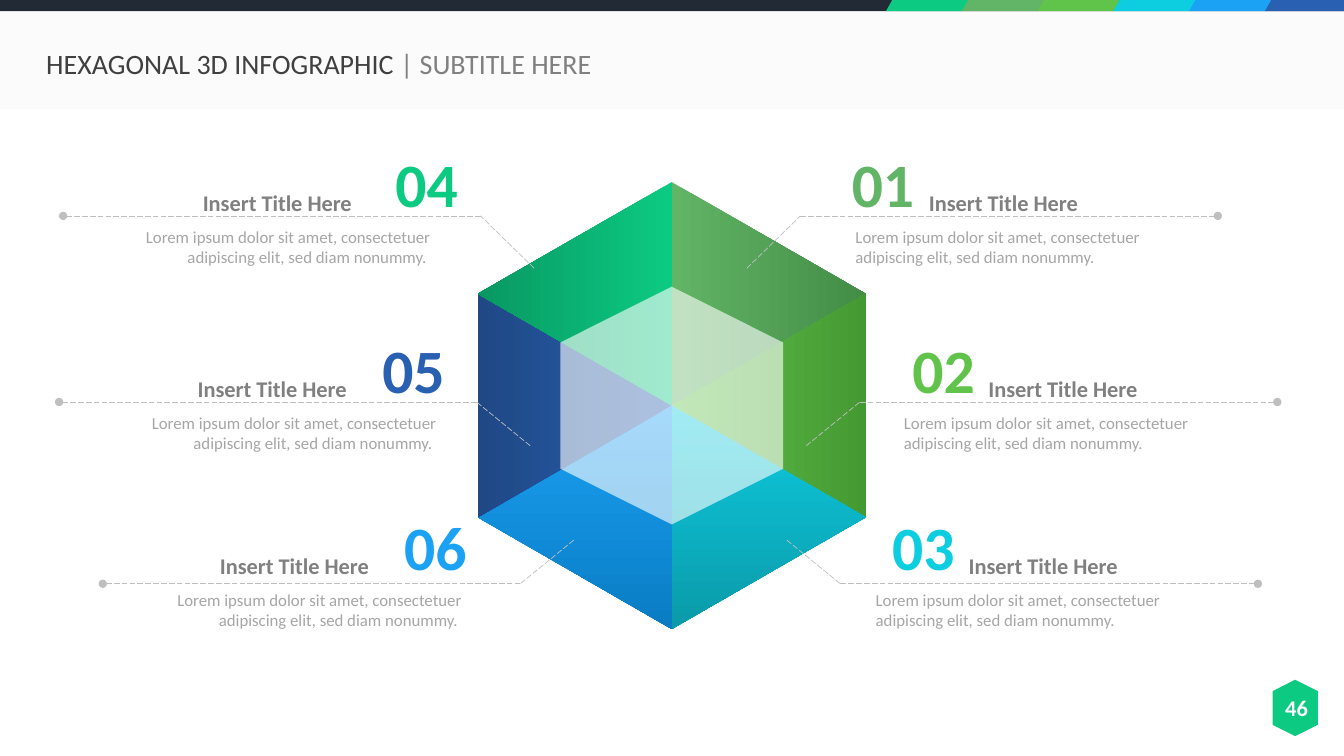
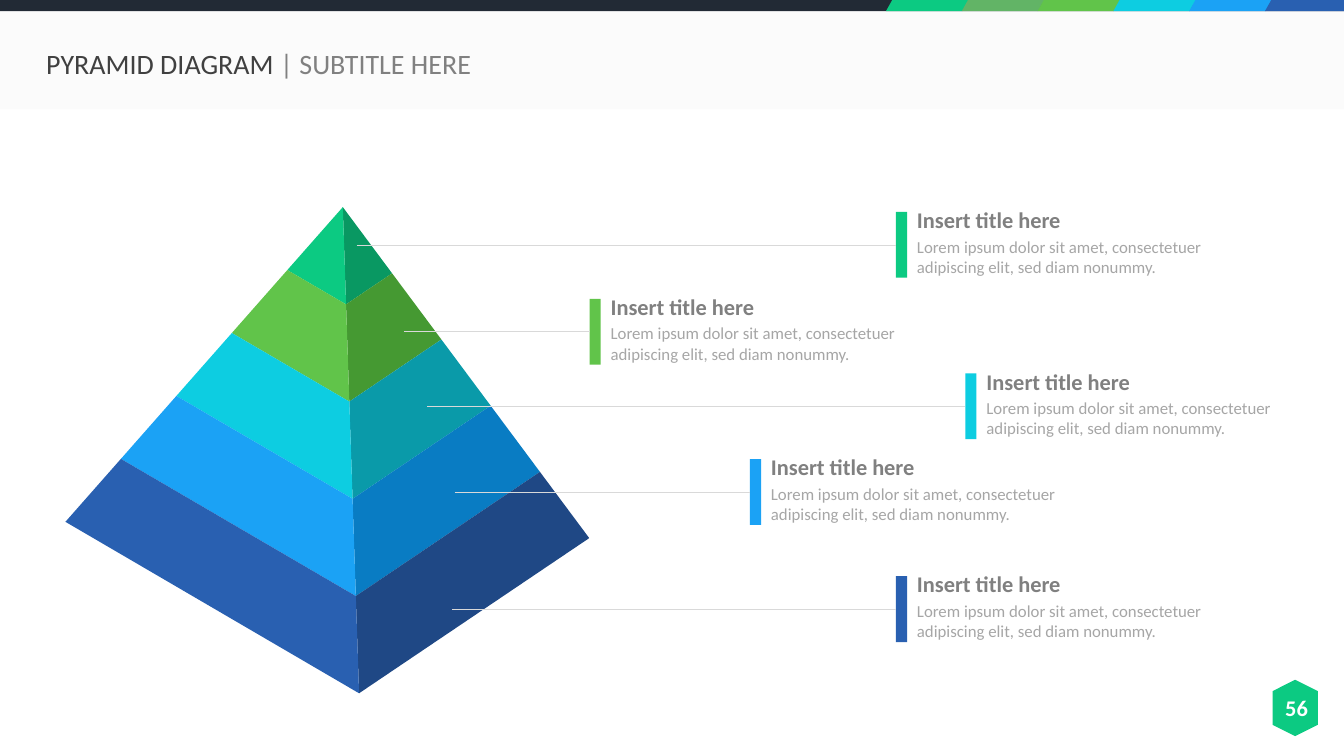
from dataclasses import dataclass

from lxml import etree
from pptx import Presentation
from pptx import util as u
from pptx.dml.color import RGBColor
from pptx.enum import dml, shapes, text
from pptx.oxml.ns import qn

LEFT, MID, RIGHT = text.PP_ALIGN.LEFT, text.PP_ALIGN.CENTER, text.PP_ALIGN.RIGHT
KIND = shapes.MSO_SHAPE
COPY = "Lorem ipsum dolor sit amet, consectetuer adipiscing elit, sed diam nonummy."


@dataclass(frozen=True)
class Type:
    size: int
    tint: str
    bold: bool = False


@dataclass(frozen=True)
class Hue:
    light: str
    dark: str


class Theme:
    font = "Calibri"
    wide, high = 33.87, 19.05
    green = Hue("0CCA82", "099862")
    moss = Hue("62B466", "438D47")
    lime = Hue("61C44A", "459932")
    cyan = Hue("0DCDE1", "0A9AA9")
    sky = Hue("1BA2F5", "097CC3")
    blue = Hue("2960B1", "1F4885")
    night, pale, white = "222A35", "F2F2F2", "FFFFFF"
    dash, rule = "BFBFBF", "D9D9D9"
    title = Type(20, "404040")
    sub = Type(20, "808080")
    head = Type(16, "808080", True)
    body = Type(12, "A6A6A6")
    page = Type(16, white, True)

    @staticmethod
    def digit(hue):
        return Type(44, hue.light, True)


def cm(*sizes):
    return [u.Cm(size) for size in sizes]


def style(run, kind):
    font = run.font
    font.name, font.size, font.bold = Theme.font, u.Pt(kind.size), kind.bold
    font.color.rgb = RGBColor.from_string(kind.tint)


def write(slide, words, box, kind, align=LEFT):
    frame = slide.shapes.add_textbox(*cm(*box)).text_frame
    frame.word_wrap = True
    frame.text = words
    para = frame.paragraphs[0]
    para.alignment = align
    style(para.runs[0], kind)


def paint(shape, tint, alpha=100):
    """Give a flat fill, with alpha as percent of opacity."""
    shape.shadow.inherit = False
    shape.line.fill.background()
    shape.fill.solid()
    shape.fill.fore_color.rgb = RGBColor.from_string(tint)
    if alpha < 100:
        node = shape.element.spPr.find(".//" + qn("a:srgbClr"))
        etree.SubElement(node, qn("a:alpha"), val=str(alpha * 1000))
    return shape


def blend(shape, hue, angle):
    """Fade from light to dark, with the angle counted anticlockwise."""
    shape.fill.gradient()
    shape.fill.gradient_angle = angle
    for stop, tint in zip(shape.fill.gradient_stops, (hue.light, hue.dark)):
        stop.color.rgb = RGBColor.from_string(tint)


def block(slide, kind, box, tint, alpha=100):
    return paint(slide.shapes.add_shape(kind, *cm(*box)), tint, alpha)


def facet(slide, points, tint):
    first, *rest = [cm(*point) for point in points]
    pen = slide.shapes.build_freeform(*first, scale=1.0)
    pen.add_line_segments(rest, close=True)
    return paint(pen.convert_to_shape(), tint)


def link(slide, start, end, tint, dashed=False, dot=False):
    line = slide.shapes.add_connector(
        shapes.MSO_CONNECTOR.STRAIGHT, *cm(*start, *end))
    line.line.width = u.Pt(0.5)
    line.line.color.rgb = RGBColor.from_string(tint)
    if dashed:
        line.line.dash_style = dml.MSO_LINE.LONG_DASH
    props = line.element.spPr
    if dot:
        etree.SubElement(props.find(qn("a:ln")), qn("a:tailEnd"), type="oval")
    etree.SubElement(props, qn("a:effectLst"))
    return line


def frame(deck, layout):
    """Draw bands, stripes and page badge, and move them to the layout."""
    holders = list(layout.placeholders)
    title = holders[0]
    title.left, title.top, title.width, title.height = cm(0.91, 0.94, 18.85, 1.4)
    for spare in holders[1:]:
        spare.element.getparent().remove(spare.element)

    slide = deck.slides[0]
    wide, thin, slant = Theme.wide, 0.28, 0.16
    parts = [
        block(slide, KIND.RECTANGLE, (0, thin, wide, 2.47), Theme.pale, 29),
        block(slide, KIND.RECTANGLE, (0, 0, wide, thin), Theme.night),
    ]
    hues = (Theme.green, Theme.moss, Theme.lime, Theme.cyan, Theme.sky)
    left, step = 22.33, 1.91
    for i, hue in enumerate(hues):
        stripe = block(slide, KIND.PARALLELOGRAM,
                       (left + i * step, 0, 2.08, thin), hue.light)
        stripe.adjustments[0] = 0.56
        parts.append(stripe)
    last = left + len(hues) * step
    parts.append(facet(slide, [(last + slant, 0), (wide, 0), (wide, thin),
                               (last, thin)], Theme.blue.light))
    badge = block(slide, KIND.HEXAGON, (31.93, 17.27, 1.42, 1.14),
                  Theme.green.light)
    badge.rotation = 90
    for part in parts + [badge]:
        layout.shapes.element.append(part.element)


def head(slide, name, page):
    area = slide.shapes.title.text_frame
    area.auto_size = text.MSO_AUTO_SIZE.NONE
    area.vertical_anchor = text.MSO_ANCHOR.MIDDLE
    para = area.paragraphs[0]
    para.alignment, para.line_spacing = LEFT, 0.9
    for words, kind in ((name + " ", Theme.title),
                        ("| SUBTITLE HERE", Theme.sub)):
        run = para.add_run()
        run.text = words
        style(run, kind)
    write(slide, page, (31.9, 17.37, 1.55, 0.94), Theme.page, MID)


def gem(slide):
    """Draw six shaded slices under a clear inner hexagon."""
    x, y, side, tall = 16.93, 10.22, 4.89, 5.63
    half = tall / 2
    rim = [(x, y - tall), (x + side, y - half), (x + side, y + half),
           (x, y + tall), (x - side, y + half), (x - side, y - half)]
    slices = ((Theme.moss, 0), (Theme.lime, 0), (Theme.cyan, 270),
              (Theme.sky, 270), (Theme.blue, 180), (Theme.green, 180))
    for i, (hue, angle) in enumerate(slices):
        piece = facet(slide, [rim[i], rim[(i + 1) % 6], (x, y)], hue.light)
        blend(piece, hue, angle)
    wide, high = 5.99, 5.61
    core = block(slide, KIND.HEXAGON, (x - wide / 2, y - high / 2, wide, high),
                 Theme.white, 61)
    core.rotation = 270


def note(slide, row, right, mark, hue, bend, name, copy, digit):
    """Add a leader with its texts; name and copy are their inner edges."""
    y, tip, lift = row
    way = 1 if right else -1
    align = LEFT if right else RIGHT
    link(slide, (bend - way * 1.35, tip), (bend, y), Theme.dash, True)
    link(slide, (bend, y), (bend + way * 10.52, y), Theme.dash, True, True)

    def place(words, edge, top, wide, high, kind):
        left = edge if right else edge - wide
        write(slide, words, (left, top - lift, wide, high), kind, align)

    place("Insert Title Here", name, y - 0.79, 7.19, 0.94, Theme.head)
    place(COPY if right else COPY + " ", copy, y + 0.15, 8.46, 1.28, Theme.body)
    write(slide, mark, (digit - 3, y - 1.88 - lift, 3, 2.13),
          Theme.digit(hue), RIGHT)


def hexes(slide):
    head(slide, "HEXAGONAL 3D INFOGRAPHIC", "46")
    gem(slide)
    # Each row: leader height, leader tip, lift of the texts
    rows = ((5.44, 6.76, 0), (10.13, 11.23, 0), (14.71, 13.61, 0.13))
    # Each note: number, hue, leader bend, title edge, copy edge, number edge
    sides = {
        True: (("01", Theme.moss, 20.17, 23.16, 21.31, 23.29),
               ("02", Theme.lime, 21.67, 24.66, 22.53, 24.82),
               ("03", Theme.cyan, 21.18, 24.16, 21.82, 24.31)),
        False: (("04", Theme.green, 12.11, 9.12, 11.1, 11.79),
                ("05", Theme.blue, 12.01, 8.99, 11.25, 11.46),
                ("06", Theme.sky, 13.11, 9.55, 11.89, 12.01)),
    }
    for right, notes in sides.items():
        for row, data in zip(rows, notes):
            note(slide, row, right, *data)


def tiers(slide, hues):
    """Cut both faces of the pyramid into equal tiers."""
    apex, left, front, right = (8.64, 5.22), (1.65, 13.15), (9.05, 17.47), (14.85, 13.56)

    def along(foot, i):
        return tuple(a + (b - a) * i / len(hues) for a, b in zip(apex, foot))

    for i, hue in enumerate(hues):
        for foot, tint in ((right, hue.dark), (left, hue.light)):
            points = [along(foot, i), along(foot, i + 1),
                      along(front, i + 1), along(front, i)]
            facet(slide, dict.fromkeys(points), tint)


def label(slide, hue, start, left, top):
    wide, high = 0.28, 1.66
    bar = block(slide, KIND.RECTANGLE, (left, top, wide, high), hue.light)
    edge, y = left + wide, top + high / 2
    write(slide, COPY, (edge, top + 0.49, 9.22, 1.28), Theme.body)
    write(slide, "Insert title here", (edge, top - 0.27, 7.19, 0.94), Theme.head)
    link(slide, (start, y), (left, y), Theme.rule).end_connect(bar, 1)


def peak(slide):
    head(slide, "PYRAMID DIAGRAM", "56")
    # Each label: hue, line start, bar left, bar top
    labels = ((Theme.green, 8.99, 22.58, 5.34),
              (Theme.lime, 10.19, 14.86, 7.53),
              (Theme.cyan, 10.77, 24.33, 9.41),
              (Theme.sky, 11.46, 18.9, 11.57),
              (Theme.blue, 11.4, 22.58, 14.52))
    tiers(slide, [data[0] for data in labels])
    for data in labels:
        label(slide, *data)


def main():
    deck = Presentation()
    deck.slide_width, deck.slide_height = cm(Theme.wide, Theme.high)
    layout = deck.slide_layouts.get_by_name("Title Only")
    first, second = [deck.slides.add_slide(layout) for _ in range(2)]
    frame(deck, layout)
    hexes(first)
    peak(second)
    deck.save("out.pptx")


if __name__ == "__main__":
    main()
